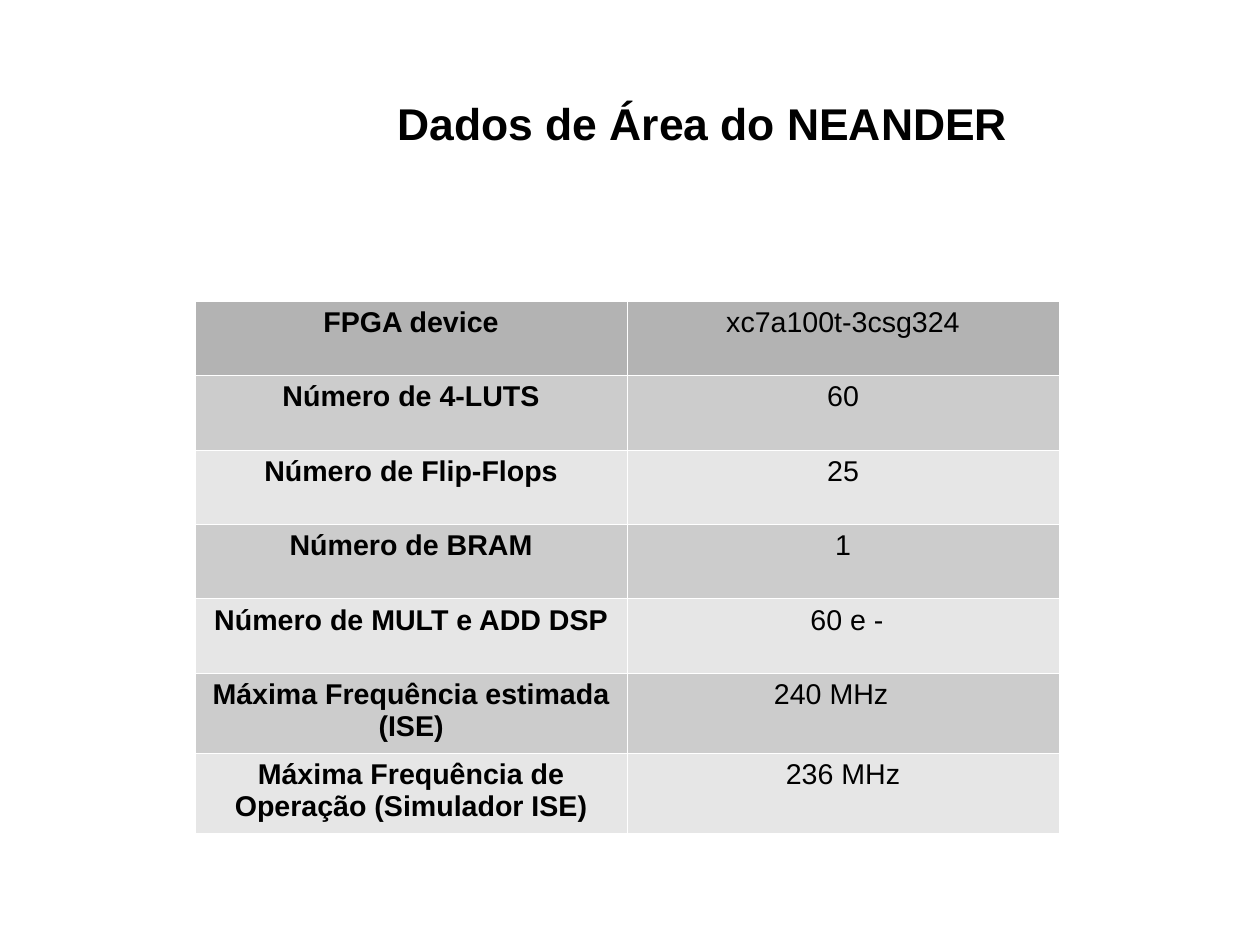
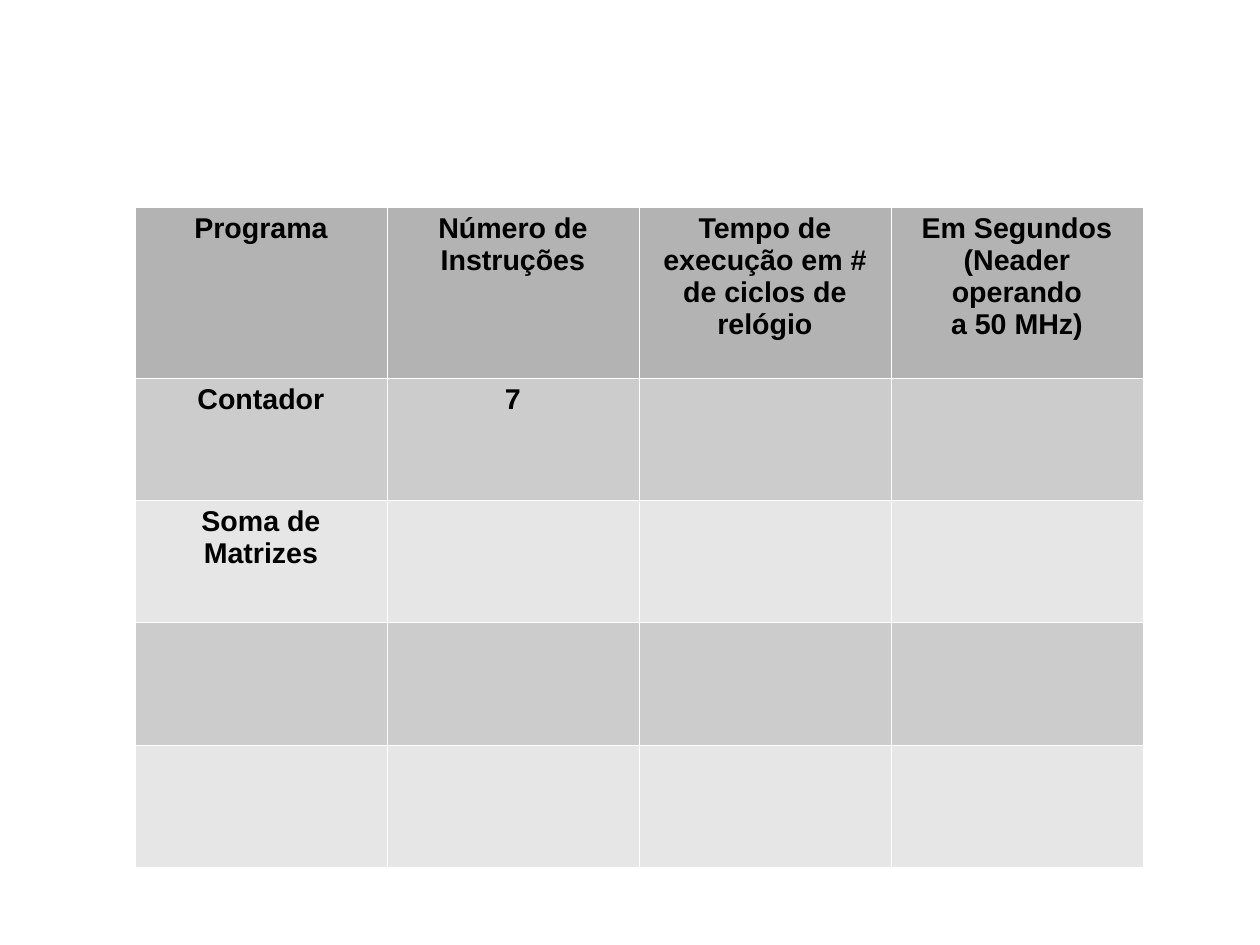
from lxml.etree import SubElement
from pptx import Presentation
from pptx.dml.color import RGBColor
from pptx.enum.text import MSO_ANCHOR, MSO_AUTO_SIZE, PP_ALIGN
from pptx.oxml.ns import qn
from pptx.util import Pt

FONT = "Arial"
BLACK, WHITE = "000000", "FFFFFF"
HEADER_FILL = "B3B3B3"
BAND_FILLS = ("CCCCCC", "E6E6E6")
BORDER_WIDTH = Pt(0.06)

TITLE = "Dados de Área do NEANDER"
AREA_DATA = [
    ("FPGA device", "xc7a100t-3csg324"),
    ("Número de 4-LUTS", "60"),
    ("Número de Flip-Flops", "25"),
    ("Número de BRAM", "1"),
    ("Número de MULT e ADD DSP", "60 e -"),
    ("Máxima Frequência estimada (ISE)", "240 MHz"),
    ("Máxima Frequência de Operação (Simulador ISE)", "236 MHz"),
]
PROGRAMS = [
    ("Programa", "Número de Instruções",
     "Tempo de execução em #\nde ciclos de relógio",
     "Em Segundos\n(Neader operando\na 50 MHz)"),
    ("Contador", "7", "", ""),
    ("Soma de Matrizes", "", "", ""),
    ("", "", "", ""),
    ("", "", "", ""),
]


def color(value):
    return RGBColor.from_string(value)


def write(frame, text, size, bold):
    """Fill a text frame with centred paragraphs, one per line of text."""
    for number, line in enumerate(text.split("\n")):
        paragraph = frame.add_paragraph() if number else frame.paragraphs[0]
        paragraph.alignment = PP_ALIGN.CENTER
        paragraph.font.size = Pt(size)
        if line:
            run = paragraph.add_run()
            run.text = line
            run.font.name = FONT
            run.font.size = Pt(size)
            run.font.bold = bold
            run.font.color.rgb = color(BLACK)


def add_borders(cell):
    properties = cell._tc.get_or_add_tcPr()
    for side in ("lnL", "lnR", "lnT", "lnB"):
        line = SubElement(properties, qn(f"a:{side}"), w=str(int(BORDER_WIDTH)))
        fill = SubElement(line, qn("a:solidFill"))
        SubElement(fill, qn("a:srgbClr"), val=WHITE)


def add_grey_table(slide, rows, left, top, width, heights, bold_columns):
    columns = len(rows[0])
    table = slide.shapes.add_table(
        len(rows), columns, Pt(left), Pt(top), Pt(width), Pt(sum(heights))).table
    table.first_row = table.horz_banding = False
    for column in table.columns:
        column.width = Pt(width / columns)
    for r, (texts, height) in enumerate(zip(rows, heights)):
        table.rows[r].height = Pt(height)
        for c, text in enumerate(texts):
            cell = table.cell(r, c)
            add_borders(cell)
            cell.fill.solid()
            cell.fill.fore_color.rgb = color(
                BAND_FILLS[(r - 1) % 2] if r else HEADER_FILL)
            cell.margin_left = cell.margin_right = Pt(7.2)
            cell.margin_top = cell.margin_bottom = Pt(3.6)
            write(cell.text_frame, text, 18, c < bold_columns)
    return table


def add_title(slide, text):
    title = slide.shapes.title
    title.left, title.top, title.width, title.height = (
        Pt(192.9), Pt(56.9), Pt(499), Pt(39))
    frame = title.text_frame
    frame.word_wrap = True
    frame.auto_size = MSO_AUTO_SIZE.SHAPE_TO_FIT_TEXT
    frame.vertical_anchor = MSO_ANCHOR.TOP
    write(frame, text, 28, True)


def main():
    deck = Presentation()
    deck.slide_width, deck.slide_height = Pt(793.75), Pt(595.25)
    title_only, blank = deck.slide_layouts[5], deck.slide_layouts[6]

    area = deck.slides.add_slide(title_only)
    add_title(area, TITLE)
    area_table = add_grey_table(area, AREA_DATA, 122.9, 189.5, 544.2,
                                [46.9] * 5 + [50.4] * 2, bold_columns=1)
    # Two values sit slightly off the centre of their column.
    area_table.cell(4, 1).margin_left = Pt(12.2)
    area_table.cell(5, 1).margin_right = Pt(22.2)

    programs = deck.slides.add_slide(blank)
    add_grey_table(programs, PROGRAMS, 85, 130.3, 635,
                   [107.6] + [77.1] * 4, bold_columns=4)

    deck.save("out.pptx")


if __name__ == "__main__":
    main()
